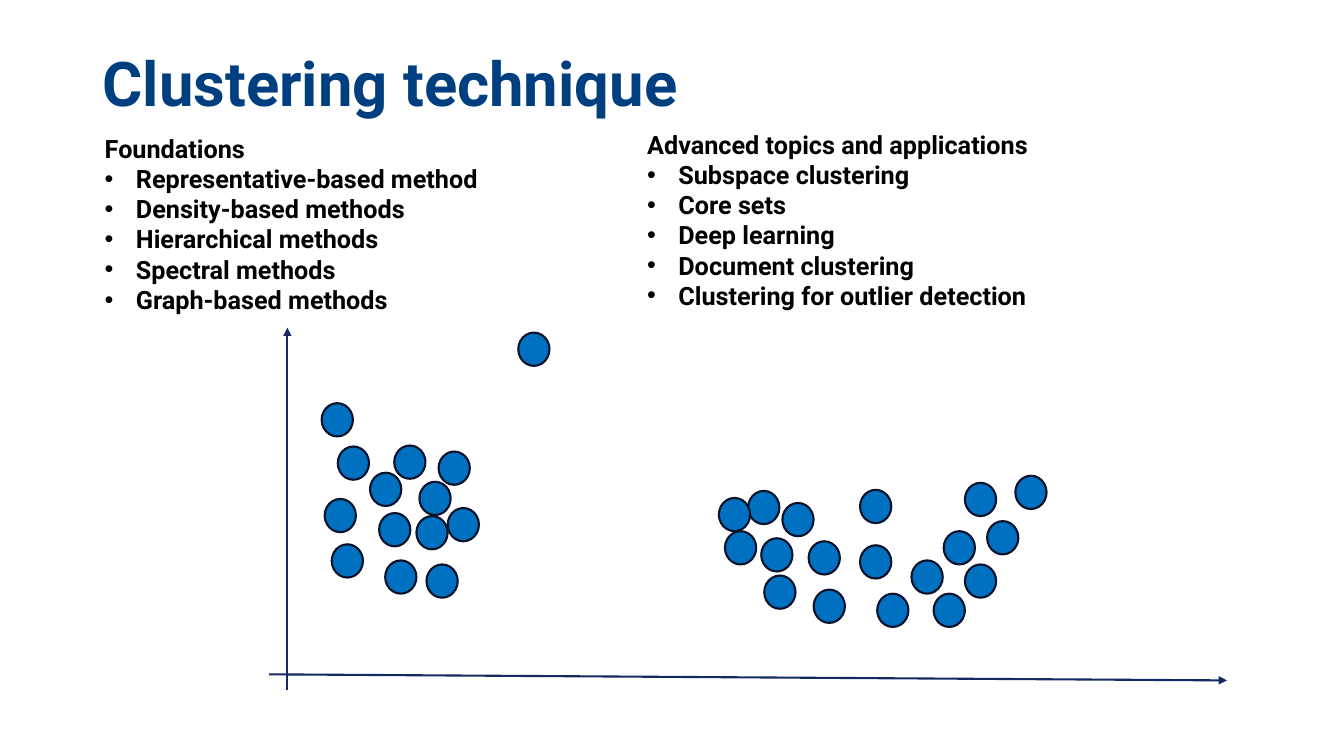
"""Build the clustering technique slide with two topic lists and a scatter sketch."""
import pptx
import pptx.dml.color
import pptx.enum.shapes
import pptx.enum.text
import pptx.oxml
import pptx.oxml.ns
import pptx.util
from pptx.util import Inches

TITLE = "Clustering technique"
TOPICS = [
    ((0.94, 1.27), "Foundations", [
        "Representative-based method", "Density-based methods", "Hierarchical methods",
        "Spectral methods", "Graph-based methods"]),
    ((6.32, 1.23), "Advanced topics and applications", [
        "Subspace clustering", "Core sets", "Deep learning",
        "Document clustering", "Clustering for outlier detection"]),
]
AXES = [((2.67, 6.69), (12.17, 6.75)), ((2.85, 6.85), (2.85, 3.25))]
POINTS = {
    "round cluster": [
        (3.67, 4.69), (4.13, 5.12), (3.76, 5.09), (3.29, 5.4), (3.82, 5.56), (4.23, 5.6),
        (4.35, 4.48), (3.22, 4.95), (3.91, 4.42), (3.35, 4.43), (4.16, 4.78), (4.44, 5.04),
        (3.19, 4)],
    "outlier": [(5.14, 3.3)],
    "curved cluster": [
        (7.76, 4.99), (7.42, 4.87), (7.55, 5.34), (7.19, 5.27), (8.02, 5.37), (7.58, 5.71),
        (7.13, 4.94), (8.07, 5.85), (8.7, 5.89), (8.53, 5.41), (9.04, 5.56), (8.53, 4.86),
        (9.26, 5.89), (9.57, 5.6), (9.79, 5.17), (9.57, 4.79), (10.07, 4.72), (9.36, 5.27)],
}
POINT_SIZE = (0.31, 0.33)
TOPIC_SIZE = (5.19, 1.92)
BULLET_INDENT = 0.31
FONT = "Roboto"
NAVY, BLACK, BLUE, OUTLINE, AXIS = "003F7F", "000000", "0070C0", "0A122A", "162860"


def color(value):
    return pptx.dml.color.RGBColor.from_string(value)


def add_element(parent, tag, **attributes):
    element = pptx.oxml.parse_xml(f"<a:{tag} {pptx.oxml.ns.nsdecls('a')}/>")
    for name, value in attributes.items():
        element.set(name, str(value))
    parent.append(element)


def write(paragraph, text, *, size, fill, bullet=False, spacing=None):
    if bullet:
        properties = paragraph._p.get_or_add_pPr()
        properties.set("marL", str(Inches(BULLET_INDENT)))
        properties.set("indent", str(-Inches(BULLET_INDENT)))
        add_element(properties, "buFont", typeface="Arial")
        add_element(properties, "buChar", char="•")
    if spacing:
        paragraph.line_spacing = spacing
    run = paragraph.add_run()
    run.text = text
    run.font.name = FONT
    run.font.size = pptx.util.Pt(size)
    run.font.bold = True
    run.font.color.rgb = color(fill)


def add_text_frame(slide, position, size):
    frame = slide.shapes.add_textbox(*map(Inches, position + size)).text_frame
    frame.word_wrap = True
    return frame


def add_axis(slide, start, end):
    axis = slide.shapes.add_connector(
        pptx.enum.shapes.MSO_CONNECTOR.STRAIGHT, *map(Inches, start + end))
    axis.line.color.rgb = color(AXIS)
    axis.line.width = pptx.util.Pt(1.5)
    add_element(axis.line._get_or_add_ln(), "tailEnd", type="triangle")
    add_element(axis._element.spPr, "effectLst")


def add_point(slide, position):
    point = slide.shapes.add_shape(
        pptx.enum.shapes.MSO_SHAPE.OVAL, *map(Inches, position + POINT_SIZE))
    point.shadow.inherit = False
    point.fill.solid()
    point.fill.fore_color.rgb = color(BLUE)
    point.line.color.rgb = color(OUTLINE)
    point.line.width = pptx.util.Pt(1.5)


def main():
    presentation = pptx.Presentation()
    presentation.slide_width, presentation.slide_height = Inches(13.33), Inches(7.5)
    slide = presentation.slides.add_slide(presentation.slide_layouts[6])

    title = add_text_frame(slide, (0.92, 0.4), (11.5, 0.91))
    title.vertical_anchor = pptx.enum.text.MSO_ANCHOR.MIDDLE
    write(title.paragraphs[0], TITLE, size=44, fill=NAVY, spacing=0.9)

    for start, end in AXES:
        add_axis(slide, start, end)
    for positions in POINTS.values():
        for position in positions:
            add_point(slide, position)

    for position, heading, items in TOPICS:
        frame = add_text_frame(slide, position, TOPIC_SIZE)
        frame.auto_size = pptx.enum.text.MSO_AUTO_SIZE.SHAPE_TO_FIT_TEXT
        write(frame.paragraphs[0], heading, size=18, fill=BLACK)
        for item in items:
            write(frame.add_paragraph(), item, size=18, fill=BLACK, bullet=True)

    presentation.save("out.pptx")


if __name__ == "__main__":
    main()
